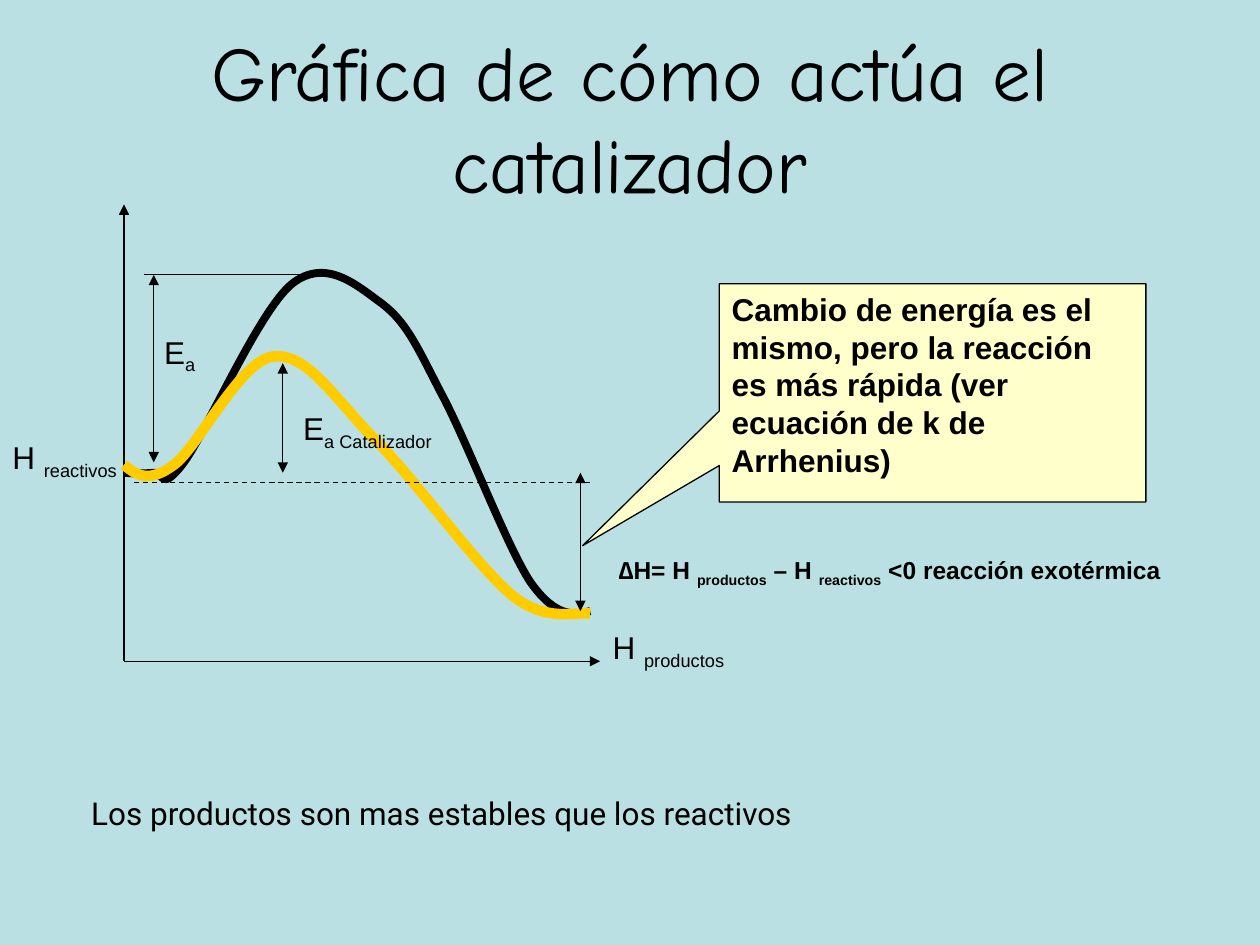
from dataclasses import dataclass

from lxml import etree
from pptx import Presentation
from pptx.dml.color import RGBColor
from pptx.enum.dml import MSO_LINE
from pptx.enum.shapes import MSO_CONNECTOR, MSO_SHAPE
from pptx.enum.text import MSO_ANCHOR, MSO_AUTO_SIZE, PP_ALIGN
from pptx.oxml.ns import qn
from pptx.util import Cm, Pt

STRAIGHT = MSO_CONNECTOR.STRAIGHT
CALLOUT = MSO_SHAPE.RECTANGULAR_CALLOUT
DASH = MSO_LINE.DASH
LEFT, CENTER = PP_ALIGN.LEFT, PP_ALIGN.CENTER
TOP, MIDDLE = MSO_ANCHOR.TOP, MSO_ANCHOR.MIDDLE
FIXED, GROW = MSO_AUTO_SIZE.NONE, MSO_AUTO_SIZE.SHAPE_TO_FIT_TEXT
BLACK = "000000"


@dataclass
class Line:
    start: tuple[float, float]
    end: tuple[float, float]
    heads: tuple[str, ...] = ()
    dashed: bool = False


@dataclass
class Curve:
    points: list[tuple[float, float]]
    color: str
    width: float


@dataclass
class Label:
    box: tuple[float, float, float, float]
    runs: list[tuple[str, bool]]
    size: int = 18
    font: str = "Arial"
    bold: bool = False
    wrap: bool = True
    align: PP_ALIGN = LEFT
    anchor: MSO_ANCHOR = TOP
    fit: MSO_AUTO_SIZE = GROW


BOTH = ("headEnd", "tailEnd")
AXES = [
    Line((2.5, 4.12), (2.5, 13.33), ("headEnd",)),
    Line((2.5, 13.33), (12.1, 13.33), ("tailEnd",)),
]
BASE = Curve([(2.5, 9.53), (2.69, 9.55), (2.9, 9.55), (3.1, 9.53),
              (3.3, 9.5), (3.23, 9.96), (3.71, 9.32),
              (4.17, 8.69), (5.23, 6.25), (5.89, 5.72),
              (6.58, 5.18), (7.21, 5.77), (7.7, 6.12),
              (8.2, 6.5), (8.41, 6.99), (8.89, 7.92),
              (9.4, 8.86), (10.21, 11), (10.69, 11.73),
              (11.2, 12.45), (11.56, 12.4), (11.9, 12.32)], BLACK, 4.5)
FAST = Curve([(2.5, 9.37), (2.74, 9.58), (3, 9.75), (3.51, 9.37),
              (3.99, 9.02), (4.83, 7.29), (5.49, 7.19),
              (6.17, 7.09), (6.71, 7.98), (7.49, 8.79),
              (8.31, 9.58), (9.58, 11.38), (10.31, 11.99),
              (11.02, 12.57), (11.63, 12.32), (11.9, 12.37)], "FFCC00", 6)
GAP = Line((3.1, 9.32), (3.1, 5.54), BOTH)
PEAK = Line((6.5, 5.53), (2.9, 5.53))
LOW = Line((5.7, 9.53), (5.7, 7.32), BOTH)
DROP = Line((11.7, 12.32), (11.7, 9.53), BOTH)
LEVEL = Line((2.7, 9.73), (11.9, 9.73), dashed=True)
TITLE = Label((1.27, 0.76, 22.86, 3.18),
              [("Gráfica de cómo actúa el catalizador", False)],
              44, "Comic Neue", align=CENTER, anchor=MIDDLE, fit=FIXED)
NOTE = Label((14.5, 5.72, 8.6, 4.4),
             [("Cambio de energía es el mismo, pero la reacción es más rápida "
               "(ver ecuación de k de Arrhenius)", False)],
             bold=True, fit=FIXED)
HILL = Label((3.06, 6.58, 1.14, 1.12), [("E", False), ("a", True)], wrap=False)
DIP = Label((5.86, 8.13, 3.1, 1.12),
            [("E", False), ("a Catalizador", True)], wrap=False)
TEXTS = [
    Label((12.22, 11.07, 11.43, 0.94),
          [("∆H= H ", False), ("productos", True), (" – H ", False),
           ("reactivos", True), (" <0 reacción exotérmica", False)],
          14, bold=True, wrap=False),
    Label((0, 8.71, 3.4, 1.12), [("H ", False), ("reactivos", True)]),
    Label((12.1, 12.53, 3.2, 1.12), [("H ", False), ("productos", True)]),
    Label((1.59, 15.88, 23.8, 1.02),
          [("Los productos son mas estables que los reactivos", False)],
          font="Roboto"),
]
PARTS = [TITLE, *AXES, BASE, FAST, GAP, HILL, PEAK, LOW, DIP, DROP, LEVEL]


def paint(target, color: str) -> None:
    target.solid()
    target.fore_color.rgb = RGBColor.from_string(color)


def stroke(line, color: str = BLACK, width: float = 0.75) -> None:
    paint(line.fill, color)
    line.width = Pt(width)


def draw_line(shapes, item: Line) -> None:
    link = shapes.add_connector(STRAIGHT, *map(Cm, item.start + item.end))
    stroke(link.line)
    if item.dashed:
        link.line.dash_style = DASH
    outline = link.line._get_or_add_ln()
    for head in item.heads:
        etree.SubElement(outline, qn(f"a:{head}"), type="triangle")
    etree.SubElement(link._element.spPr, qn("a:effectLst"))


def bend(shape) -> None:
    trace = next(shape._element.iter(qn("a:path")))
    steps = trace.findall(qn("a:lnTo"))
    for i in range(0, len(steps), 3):
        cubic = etree.SubElement(trace, qn("a:cubicBezTo"))
        for step in steps[i:i + 3]:
            cubic.append(step[0])
            trace.remove(step)


def draw_curve(shapes, item: Curve) -> None:
    first, *rest = [(Cm(x), Cm(y)) for x, y in item.points]
    maker = shapes.build_freeform(*first)
    maker.add_line_segments(rest, close=False)
    shape = maker.convert_to_shape()
    bend(shape)
    shape.shadow.inherit = False
    shape.fill.background()
    stroke(shape.line, item.color, item.width)


def write(shape, item: Label) -> None:
    frame = shape.text_frame
    frame.word_wrap = item.wrap
    frame.auto_size = item.fit
    frame.vertical_anchor = item.anchor
    para = frame.paragraphs[0]
    para.alignment = item.align
    for text, sub in item.runs:
        run = para.add_run()
        run.text = text
        font = run.font
        font.name, font.size, font.bold = item.font, Pt(item.size), item.bold
        paint(font.fill, BLACK)
        if sub:
            run._r.get_or_add_rPr().set("baseline", "-25000")


def draw_label(shapes, item: Label) -> None:
    write(shapes.add_textbox(*map(Cm, item.box)), item)


def draw_note(shapes, item: Label) -> None:
    shape = shapes.add_shape(CALLOUT, *map(Cm, item.box))
    shape.shadow.inherit = False
    shape.adjustments[0], shape.adjustments[1] = -0.82, 0.7
    paint(shape.fill, "FFFFCC")
    stroke(shape.line)
    write(shape, item)


DRAW = {Line: draw_line, Curve: draw_curve, Label: draw_label}


def main() -> None:
    deck = Presentation()
    deck.slide_width, deck.slide_height = Cm(25.4), Cm(19.05)
    slide = deck.slides.add_slide(deck.slide_layouts[6])
    paint(slide.background.fill, "BBE0E3")
    shapes = slide.shapes
    for part in PARTS:
        DRAW[type(part)](shapes, part)
    draw_note(shapes, NOTE)
    for text in TEXTS:
        draw_label(shapes, text)
    deck.save("out.pptx")


if __name__ == "__main__":
    main()
